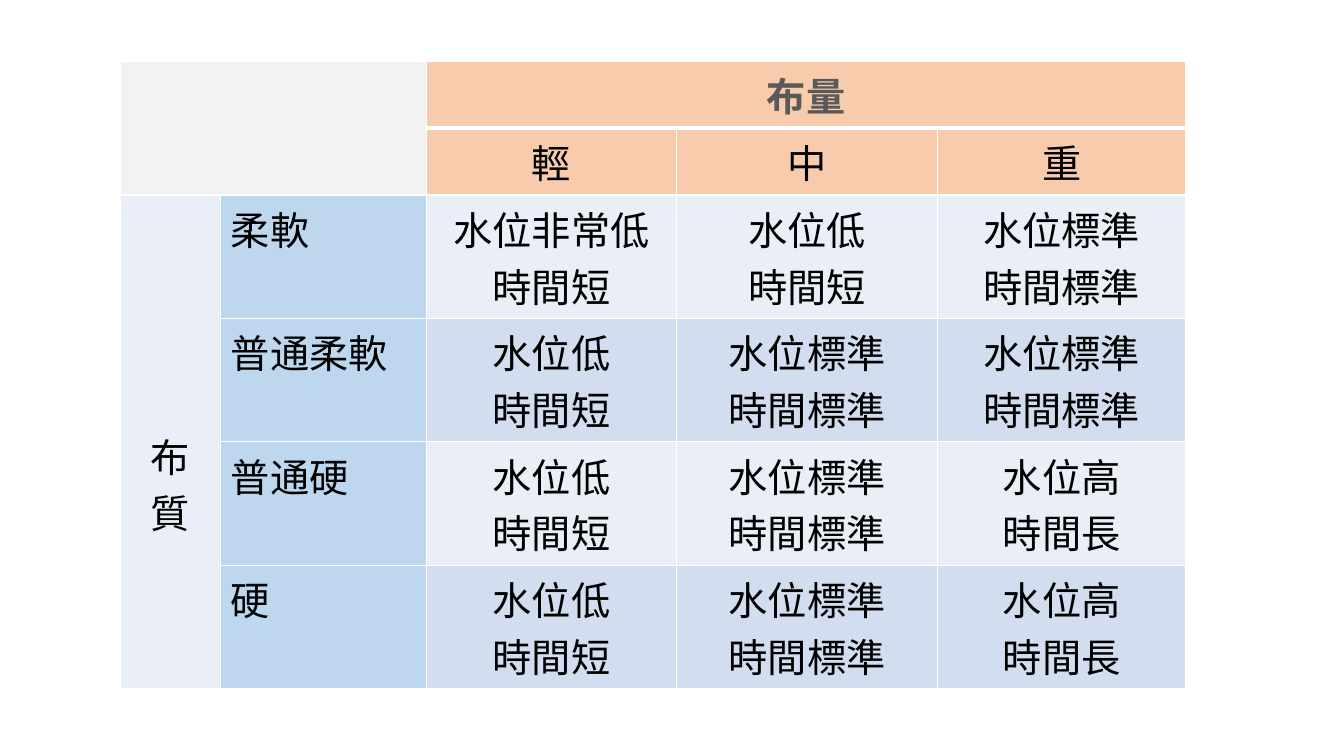
"""Build a slide with a laundry rule table of fabric type against load."""
import pptx
import pptx.dml.color
import pptx.enum.text
import pptx.oxml
import pptx.oxml.ns
import pptx.util

RGB = pptx.dml.color.RGBColor
ALIGN = pptx.enum.text.PP_ALIGN
GREY = RGB(0xF2, 0xF2, 0xF2)
PEACH = RGB(0xF8, 0xCB, 0xAD)
BLUE = RGB(0xBD, 0xD7, 0xEE)
BANDS = [RGB(0xEA, 0xEF, 0xF7), RGB(0xD2, 0xDE, 0xEF)]
BLACK = RGB(0, 0, 0)
DARK = RGB(0x59, 0x59, 0x59)
WHITE = RGB(0xFF, 0xFF, 0xFF)

FONT, SIZE = "Noto Sans CJK SC", 28
COLS = [1, 2.04, 2.48, 2.59, 2.46]
ROWS = [0.65, 0.66] + [1.22] * 4
LOADS = ["輕", "中", "重"]
LOW, NORMAL, HIGH = "水位低\n時間短", "水位標準\n時間標準", "水位高\n時間長"
FABRICS = [
    ("柔軟", ["水位非常低\n時間短", LOW, NORMAL]),
    ("普通柔軟", [LOW, NORMAL, NORMAL]),
    ("普通硬", [LOW, NORMAL, HIGH]),
    ("硬", [LOW, NORMAL, HIGH]),
]


def set_borders(cell, bottom=1):
    """Give the cell white borders, with the bottom one in points."""
    tcPr = cell._tc.get_or_add_tcPr()
    ns = pptx.oxml.ns.nsdecls("a")
    for side, width in {"L": 1, "R": 1, "T": 1, "B": bottom}.items():
        tcPr.append(pptx.oxml.parse_xml(
            f'<a:ln{side} {ns} w="{pptx.util.Pt(width)}"><a:solidFill>'
            f'<a:srgbClr val="{WHITE}"/></a:solidFill></a:ln{side}>'))


def fill_cell(cell, fill, text="", align=ALIGN.CENTER, color=BLACK, bold=False, bottom=1):
    """Set a cell's borders, fill and one paragraph per line of text."""
    set_borders(cell, bottom)
    cell.fill.solid()
    cell.fill.fore_color.rgb = fill
    if not text:
        return
    tf = cell.text_frame
    tf.text = text
    for p in tf.paragraphs:
        p.alignment = align
        for r in p.runs:
            for name, value in {"name": FONT, "size": pptx.util.Pt(SIZE), "bold": bold}.items():
                setattr(r.font, name, value)
            r.font.color.rgb = color
            ea = r._r.get_or_add_rPr().makeelement(pptx.oxml.ns.qn("a:ea"), {"typeface": FONT})
            r._r.rPr.append(ea)


def add_headings(table):
    """Fill the grey corner and the load headings."""
    for row in range(2):
        for col in range(2):
            fill_cell(table.cell(row, col), GREY, bottom=1 + 2 * row)
    for col, load in enumerate(LOADS, 2):
        fill_cell(table.cell(0, col), PEACH, "布量" if col == 2 else "",
                  color=DARK, bold=True, bottom=3)
        fill_cell(table.cell(1, col), PEACH, load)
    table.cell(0, 0).merge(table.cell(1, 1))
    table.cell(0, 2).merge(table.cell(0, 4))


def add_fabrics(table):
    """Fill the fabric names and their banded settings."""
    for i, (fabric, settings) in enumerate(FABRICS):
        row = i + 2
        fill_cell(table.cell(row, 0), BANDS[0], "布\n質" if i == 0 else "")
        fill_cell(table.cell(row, 1), BLUE, fabric, ALIGN.JUSTIFY)
        for col, setting in enumerate(settings, 2):
            fill_cell(table.cell(row, col), BANDS[i % 2], setting)
    side = table.cell(2, 0)
    side.merge(table.cell(5, 0))
    side.margin_top = pptx.util.Inches(2.3)


def add_laundry_table(slide, left, top):
    """Place the laundry table with its corner at left, top in inches."""
    box = [pptx.util.Inches(v) for v in (left, top, sum(COLS), sum(ROWS))]
    table = slide.shapes.add_table(len(ROWS), len(COLS), *box).table
    table.first_row = table.horz_banding = False
    for col, width in zip(table.columns, COLS):
        col.width = pptx.util.Inches(width)
    for row, height in zip(table.rows, ROWS):
        row.height = pptx.util.Inches(height)
    add_headings(table)
    add_fabrics(table)


prs = pptx.Presentation()
prs.slide_width, prs.slide_height = pptx.util.Inches(13.33), pptx.util.Inches(7.5)
add_laundry_table(prs.slides.add_slide(prs.slide_layouts[6]), 1.19, 0.61)
prs.save("out.pptx")
